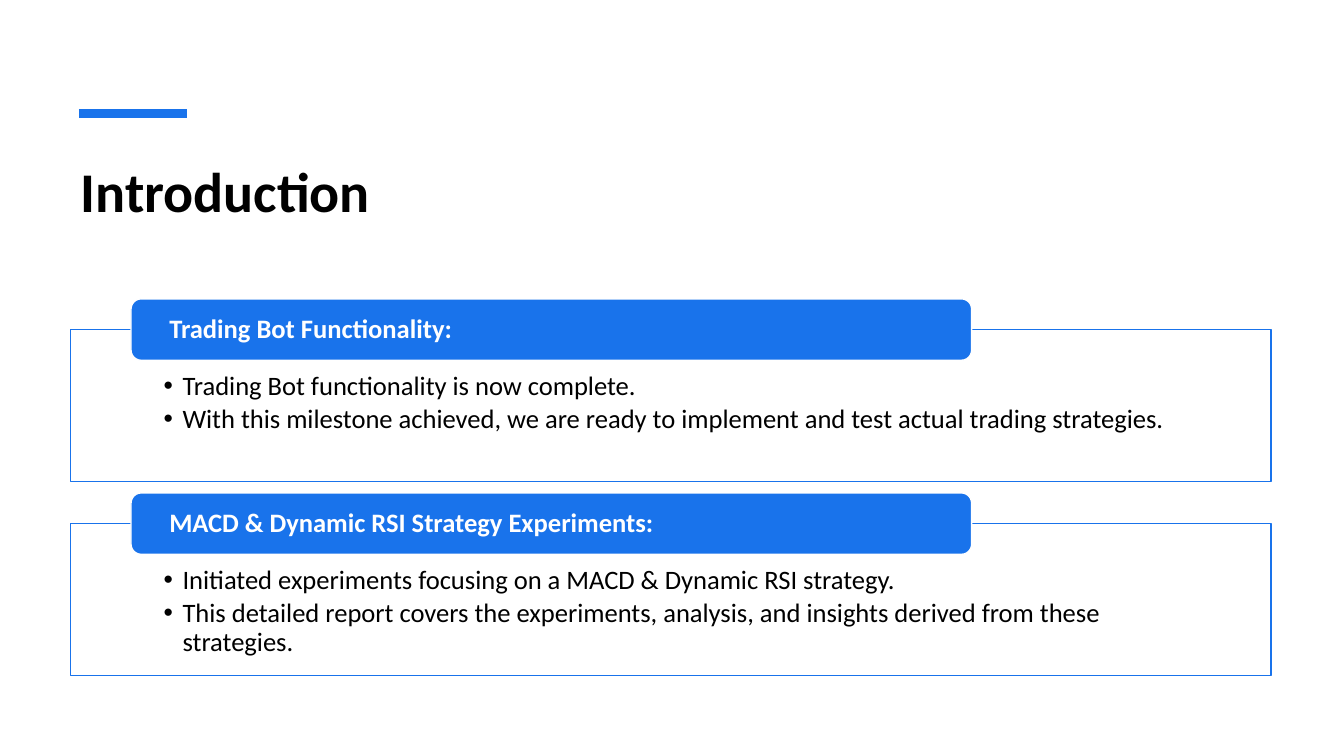
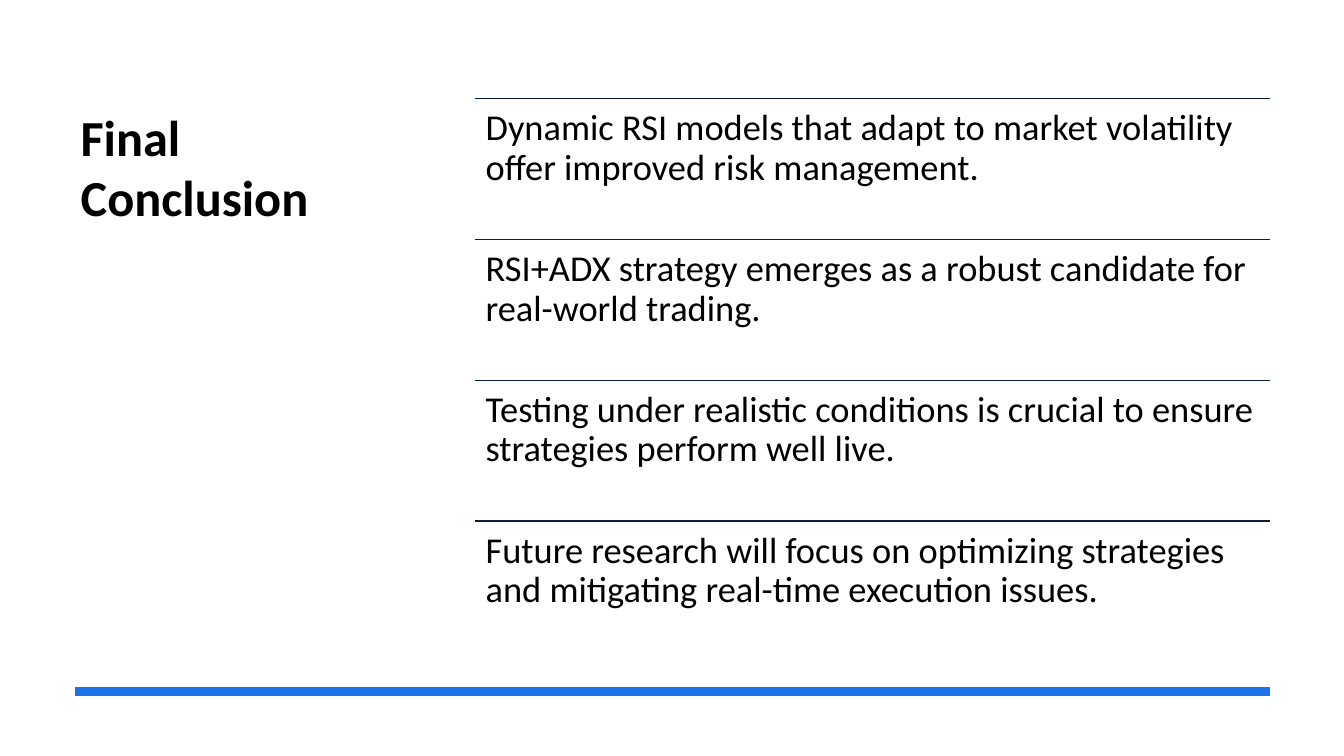
"""Build the introduction and conclusion slides of a trading strategy report."""
from dataclasses import dataclass

from lxml.etree import SubElement
from pptx import Presentation
from pptx.dml.color import RGBColor
from pptx.enum.shapes import MSO_CONNECTOR, MSO_SHAPE
from pptx.enum.text import MSO_ANCHOR, MSO_AUTO_SIZE, PP_ALIGN
from pptx.oxml.ns import qn
from pptx.util import Pt

INTRODUCTION = {
    "title": "Introduction",
    "sections": [
        ("Trading Bot Functionality:", [
            "Trading Bot functionality is now complete.",
            "With this milestone achieved, we are ready to implement and test actual trading strategies.",
        ]),
        ("MACD & Dynamic RSI Strategy Experiments:", [
            "Initiated experiments focusing on a MACD & Dynamic RSI strategy.",
            "This detailed report covers the experiments, analysis, and insights derived from these strategies.",
        ]),
    ],
}
CONCLUSION = {
    "title": "Final Conclusion",
    "points": [
        "Dynamic RSI models that adapt to market volatility offer improved risk management.",
        "RSI+ADX strategy emerges as a robust candidate for real-world trading.",
        "Testing under realistic conditions is crucial to ensure strategies perform well live.",
        "Future research will focus on optimizing strategies and mitigating real-time execution issues.",
    ],
}


@dataclass(frozen=True)
class Theme:
    """Colours, font and type sizes of the deck."""
    font: str = "Calibri"
    accent: RGBColor = RGBColor(0x19, 0x73, 0xEB)
    divider: RGBColor = RGBColor(0x0D, 0x1C, 0x3B)
    ink: RGBColor = RGBColor(0, 0, 0)
    paper: RGBColor = RGBColor(255, 255, 255)
    title_size: float = 40
    side_title_size: float = 36
    section_size: float = 19
    point_size: float = 26
    accent_width: float = 6
    thin_width: float = 1


THEME = Theme()
TITLE_LAYOUT, TWO_LISTS_LAYOUT = 5, 3
LEFT_EDGE, RIGHT_EDGE = 50.4, 907.2
SECTION_TOP, SECTION_PITCH, SECTION_HEIGHT = 235.4, 138.6, 108.7
HEADER_LEFT, HEADER_WIDTH, HEADER_HEIGHT = 93.6, 600.5, 43.9
POINT_LEFT, POINT_TOP, POINT_PITCH = 339.1, 70.4, 100.6


def place(shape, left, top, width, height):
    """Move and size a shape, in points."""
    shape.left, shape.top = Pt(left), Pt(top)
    shape.width, shape.height = Pt(width), Pt(height)


def write_text(frame, lines, *, size, color=THEME.ink, bold=False, spacing=0.9,
               after=0.0, anchor=MSO_ANCHOR.TOP, insets=(7.2, 3.6, 7.2, 3.6), bullet_indent=0):
    """Fill a text frame with one formatted paragraph per line."""
    frame.word_wrap = True
    frame.auto_size = MSO_AUTO_SIZE.NONE
    frame.vertical_anchor = anchor
    frame.margin_left, frame.margin_top, frame.margin_right, frame.margin_bottom = map(Pt, insets)
    for index, line in enumerate(lines):
        para = frame.add_paragraph() if index else frame.paragraphs[0]
        para.alignment = PP_ALIGN.LEFT
        para.line_spacing = spacing
        para.space_before, para.space_after = Pt(0), Pt(after * size)
        span = para.add_run()
        span.text = line
        font = span.font
        font.name, font.size, font.bold = THEME.font, Pt(size), bold
        font.color.rgb = color
        if bullet_indent:
            properties = para._p.get_or_add_pPr()
            properties.set("marL", str(Pt(bullet_indent)))
            properties.set("indent", str(-Pt(bullet_indent)))
            SubElement(properties, qn("a:buFont"), typeface="Arial")
            SubElement(properties, qn("a:buChar"), char="•")


def add_rule(page, left, right, top, color, width):
    """Draw a horizontal line without a shadow."""
    rule = page.shapes.add_connector(MSO_CONNECTOR.STRAIGHT, Pt(left), Pt(top), Pt(right), Pt(top))
    rule.line.color.rgb, rule.line.width = color, Pt(width)
    SubElement(rule._element.spPr, qn("a:effectLst"))


def paint(shape, fill, outline):
    """Set the fill and the thin outline of a shape."""
    shape.fill.solid()
    shape.fill.fore_color.rgb = fill
    shape.line.color.rgb, shape.line.width = outline, Pt(THEME.thin_width)


def add_page(deck, layout, title, size, top, width, height):
    """Add a slide with the shared title style."""
    page = deck.slides.add_slide(deck.slide_layouts[layout])
    place(page.shapes.title, LEFT_EDGE, top, width, height)
    write_text(page.shapes.title.text_frame, [title], size=size, bold=True, spacing=1.0)
    return page


def add_section(page, body, header, lines, top):
    """Lay out an outlined list with a header tab over its top edge."""
    place(body, LEFT_EDGE, top, 857.5, SECTION_HEIGHT)
    paint(body, THEME.paper, THEME.accent)
    write_text(body.text_frame, lines, size=THEME.section_size, after=0.15,
               insets=(66.5, 31, 66.5, 10.8), bullet_indent=13.5)
    tab = page.shapes.add_shape(MSO_SHAPE.ROUNDED_RECTANGLE, Pt(HEADER_LEFT),
                                Pt(top - HEADER_HEIGHT / 2), Pt(HEADER_WIDTH), Pt(HEADER_HEIGHT))
    tab.shadow.inherit = False
    paint(tab, THEME.accent, THEME.paper)
    write_text(tab.text_frame, [header], size=THEME.section_size, color=THEME.paper, bold=True,
               anchor=MSO_ANCHOR.MIDDLE, insets=(25.2, 0, 25.2, 0))


def build_introduction(deck):
    """Build the slide with two headed lists."""
    page = add_page(deck, TWO_LISTS_LAYOUT, INTRODUCTION["title"], THEME.title_size, 108, 857.5, 86.4)
    add_rule(page, 56.4, 133.4, 81.2, THEME.accent, THEME.accent_width)
    bodies = [box for box in page.placeholders if box.placeholder_format.idx > 0]
    for index, (body, (header, lines)) in enumerate(zip(bodies, INTRODUCTION["sections"])):
        add_section(page, body, header, lines, SECTION_TOP + index * SECTION_PITCH)


def build_conclusion(deck):
    """Build the slide with a side title and ruled statements."""
    page = add_page(deck, TITLE_LAYOUT, CONCLUSION["title"], THEME.side_title_size, 72, 236.2, 327.6)
    add_rule(page, 53.3, RIGHT_EDGE, 493.9, THEME.accent, THEME.accent_width)
    for index, point in enumerate(CONCLUSION["points"]):
        top = POINT_TOP + index * POINT_PITCH
        add_rule(page, POINT_LEFT, RIGHT_EDGE, top, THEME.divider, THEME.thin_width)
        box = page.shapes.add_textbox(Pt(POINT_LEFT), Pt(top), Pt(RIGHT_EDGE - POINT_LEFT), Pt(POINT_PITCH))
        write_text(box.text_frame, [point], size=THEME.point_size, insets=(7.8,) * 4)


def main():
    """Build and save the deck."""
    deck = Presentation()
    deck.slide_width, deck.slide_height = Pt(960), Pt(540)
    build_introduction(deck)
    build_conclusion(deck)
    deck.save("out.pptx")


if __name__ == "__main__":
    main()
